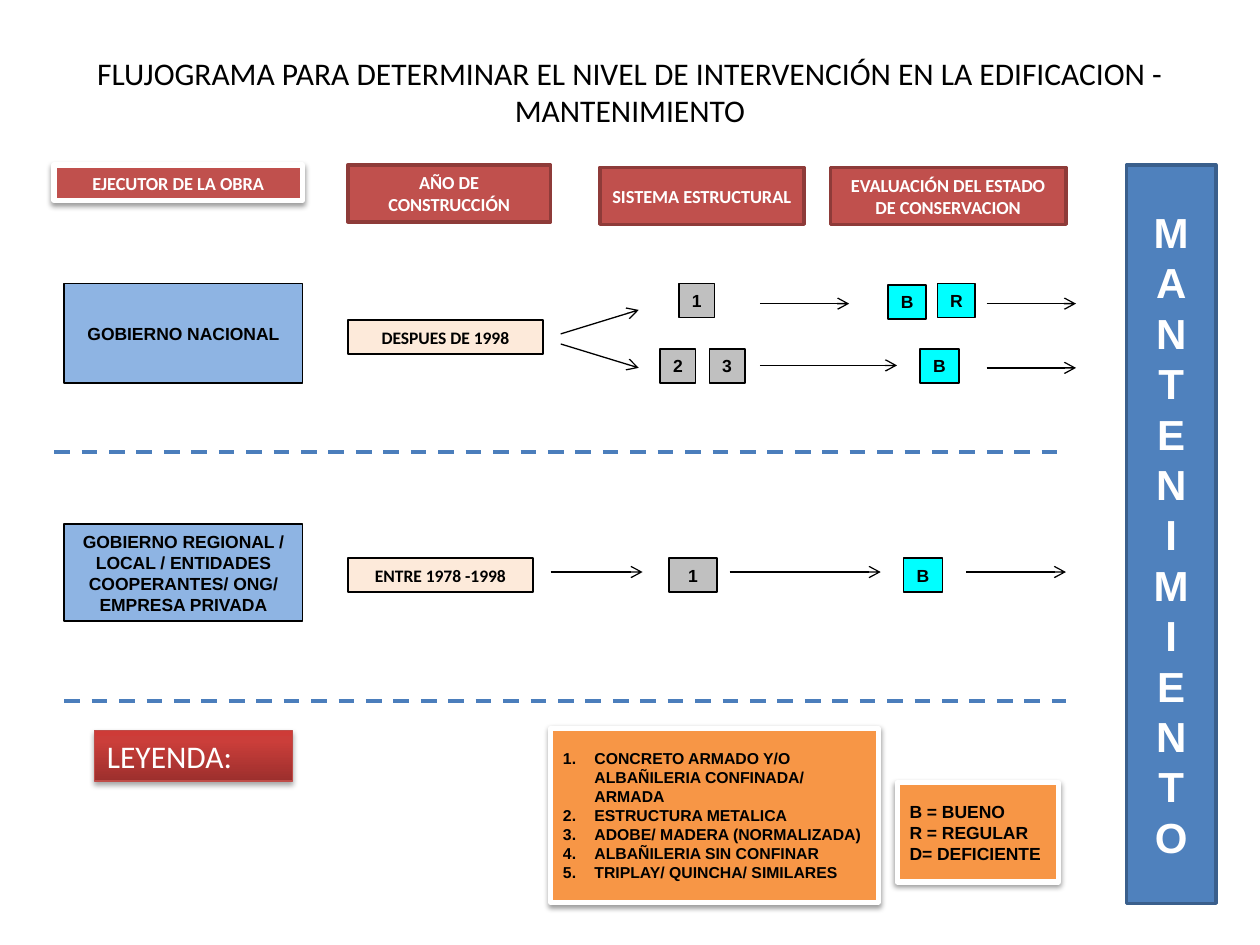
from pptx import Presentation
from pptx.util import Inches, Pt
from pptx.dml.color import RGBColor as Rgb
from pptx.enum.dml import MSO_LINE as Dash
from pptx.enum.shapes import MSO_SHAPE as Kind, MSO_CONNECTOR as Link
from pptx.enum.text import PP_ALIGN as Align, MSO_ANCHOR as Anchor
from pptx.oxml import parse_xml as to_xml
from pptx.oxml.ns import nsdecls

theme = {
    "black": "000000", "white": "FFFFFF", "blue": "8EB4E3", "cream": "FDEADA",
    "gray": "C0C0C0", "cyan": "00FFFF", "red": "C0504D", "wine": "8E3B39",
    "orange": "F79646", "bar": "4F81BD", "edge": "3A5F8C", "rule": "4B7EBC",
    "rim": "BF4C48", "fade": [(0, "9C2F2D"), (80, "CB3E3A"), (100, "CE3B37")],
    "title": 18, "tall": 24, "head": 10.5, "body": 10, "list": 9,
}
NS = nsdecls("a")

deck = Presentation()
deck.slide_width, deck.slide_height = Inches(10), Inches(7.5)
slide = deck.slides.add_slide(deck.slide_layouts[6])
shapes = slide.shapes


def add_box(place, text, fill=None, line="black", width=1, size="body", font="Arial",
            color="black", bold=True, align=Align.CENTER, anchor=Anchor.MIDDLE,
            kind=Kind.FLOWCHART_PROCESS, glow=None):
    place = [Inches(v) for v in place]
    if fill:
        box = shapes.add_shape(kind, *place)
        box.shadow.inherit = False
        box.fill.solid()
        box.fill.fore_color.rgb = Rgb.from_string(theme[fill])
        box.line.color.rgb = Rgb.from_string(theme[line])
        box.line.width = Pt(width)
    else:
        box = shapes.add_textbox(*place)
    if glow:
        box._element.spPr.find("{*}effectLst").append(to_xml(
            f'<a:outerShdw {NS} blurRad="40000" dist="{glow[1]}" dir="5400000" rotWithShape="0">'
            f'<a:srgbClr val="{theme["black"]}"><a:alpha val="{glow[0]}000"/></a:srgbClr></a:outerShdw>'))
    frame = box.text_frame
    for key, val in {"word_wrap": True, "vertical_anchor": anchor, "text": text}.items():
        setattr(frame, key, val)
    look = {"size": Pt(theme[size]), "name": font, "bold": bold}
    for para in frame.paragraphs:
        para.alignment = align
        for run in para.runs:
            for key, val in look.items():
                setattr(run.font, key, val)
            run.font.color.rgb = Rgb.from_string(theme[color])
    return box


def add_line(x1, y1, x2, y2, color="black", width=0.75, arrow=True):
    line = shapes.add_connector(Link.STRAIGHT, *[Inches(v) for v in (x1, y1, x2, y2)])
    line.line.color.rgb = Rgb.from_string(theme[color])
    line.line.width = Pt(width)
    if arrow:
        line.line._get_or_add_ln().append(to_xml(f'<a:tailEnd {NS} type="arrow"/>'))
    else:
        line.line.dash_style = Dash.DASH
    line._element.spPr.append(to_xml(f"<a:effectLst {NS}/>"))


add_box((0.5, 0.38, 9, 0.69),
        "FLUJOGRAMA PARA DETERMINAR EL NIVEL DE INTERVENCIÓN EN LA EDIFICACION - MANTENIMIENTO",
        size="title", font="Calibri", bold=False)

glow = (38, 20000)
frame = {"line": "white", "width": 3, "glow": glow}
plain = {"line": "wine", "width": 2}
heads = [
    (0.43, 1.31, 1.97, 0.28, "EJECUTOR DE LA OBRA", frame),
    (2.76, 1.31, 1.61, 0.45, "AÑO DE CONSTRUCCIÓN", plain),
    (4.76, 1.33, 1.62, 0.45, "SISTEMA ESTRUCTURAL", plain),
    (6.59, 1.33, 1.87, 0.45, "EVALUACIÓN DEL ESTADO DE CONSERVACION", plain),
]
for *place, text, style in heads:
    add_box(place, text, "red", size="head", font="Calibri", color="white", **style)

owners = [
    (2.25, 0.79, "GOBIERNO NACIONAL"),
    (4.16, 0.77, "GOBIERNO REGIONAL / LOCAL / ENTIDADES COOPERANTES/ ONG/ EMPRESA PRIVADA"),
]
for top, high, text in owners:
    add_box((0.51, top, 1.89, high), text, "blue")

for top, wide, text in [(2.54, 1.55, "DESPUES DE 1998"), (4.43, 1.47, "ENTRE 1978 -1998")]:
    add_box((2.76, top, wide, 0.27), text, "cream", font="Calibri")

marks = [
    (5.39, 2.25, 0.28, "1", "gray"), (5.24, 2.77, 0.28, "2", "gray"),
    (5.63, 2.77, 0.28, "3", "gray"), (5.31, 4.43, 0.38, "1", "gray"),
    (7.05, 2.26, 0.3, "B", "cyan"), (7.44, 2.25, 0.3, "R", "cyan"),
    (7.3, 2.77, 0.31, "B", "cyan"), (7.17, 4.43, 0.31, "B", "cyan"),
]
for left, top, wide, text, fill in marks:
    add_box((left, top, wide, 0.27), text, fill)

flows = [
    (4.45, 2.65, 5.07, 2.46), (4.45, 2.73, 5.07, 2.92),
    (6.03, 2.41, 6.74, 2.41), (6.03, 2.9, 7.12, 2.9),
    (7.83, 2.41, 8.54, 2.41), (7.83, 2.92, 8.54, 2.92),
    (4.37, 4.54, 5.1, 4.54), (5.79, 4.54, 6.99, 4.54), (7.67, 4.54, 8.46, 4.54),
]
for ends in flows:
    add_line(*ends)

for left, top in [(0.43, 3.59), (0.51, 5.56)]:
    add_line(left, top, 8.46, top, "rule", 2.25, arrow=False)

add_box((8.94, 1.31, 0.71, 5.86), "\n".join("MANTENIMIENTO"), "bar", "edge", 2,
        "tall", color="white", kind=Kind.RECTANGLE)

key = add_box((0.75, 5.8, 1.57, 0.4), "LEYENDA:", "red", "rim", 0.75, "title", "Calibri",
              "white", False, Align.LEFT, Anchor.TOP, Kind.RECTANGLE, (35, 23000))
stops = "".join(f'<a:gs pos="{pos}000"><a:srgbClr val="{tone}"/></a:gs>'
                for pos, tone in theme["fade"])
solid = key._element.spPr.find("{*}solidFill")
solid.getparent().replace(solid, to_xml(
    f'<a:gradFill {NS} rotWithShape="1"><a:gsLst>{stops}</a:gsLst>'
    '<a:lin ang="16200000" scaled="0"/></a:gradFill>'))

items = ["CONCRETO ARMADO Y/O ALBAÑILERIA CONFINADA/ ARMADA", "ESTRUCTURA METALICA",
         "ADOBE/ MADERA (NORMALIZADA)", "ALBAÑILERIA SIN CONFINAR",
         "TRIPLAY/ QUINCHA/ SIMILARES"]
types = add_box((4.37, 5.78, 2.6, 1.38), "\n".join(items), "orange", size="list",
                align=Align.LEFT, **frame)
for para in types.text_frame.paragraphs:
    props = para._p.get_or_add_pPr()
    props.set("marL", str(Inches(0.25)))
    props.set("indent", str(Inches(-0.25)))
    props.append(to_xml(f'<a:buFont {NS} typeface="+mj-lt"/>'))
    props.append(to_xml(f'<a:buAutoNum {NS} type="arabicPeriod"/>'))

add_box((7.12, 6.21, 1.28, 0.79), "B = BUENO\nR = REGULAR\nD= DEFICIENTE", "orange",
        align=Align.LEFT, **frame)

deck.save("out.pptx")
